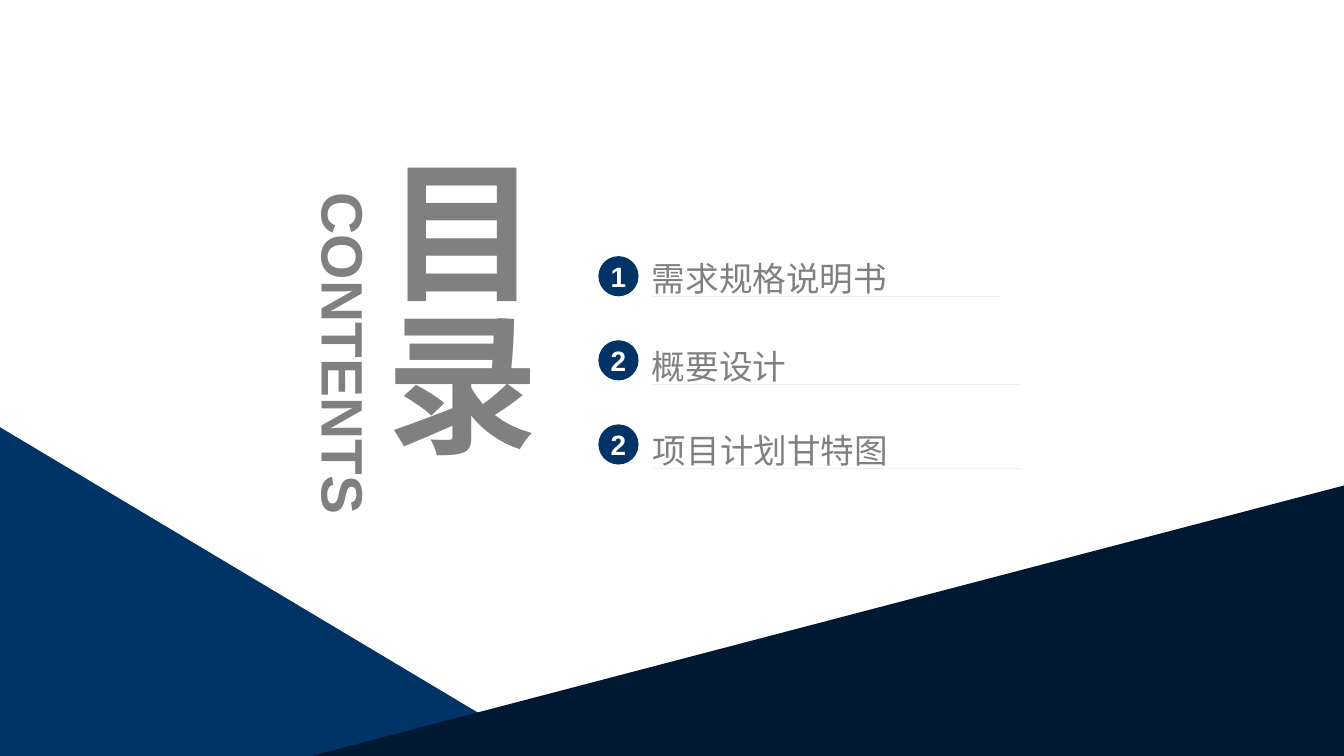
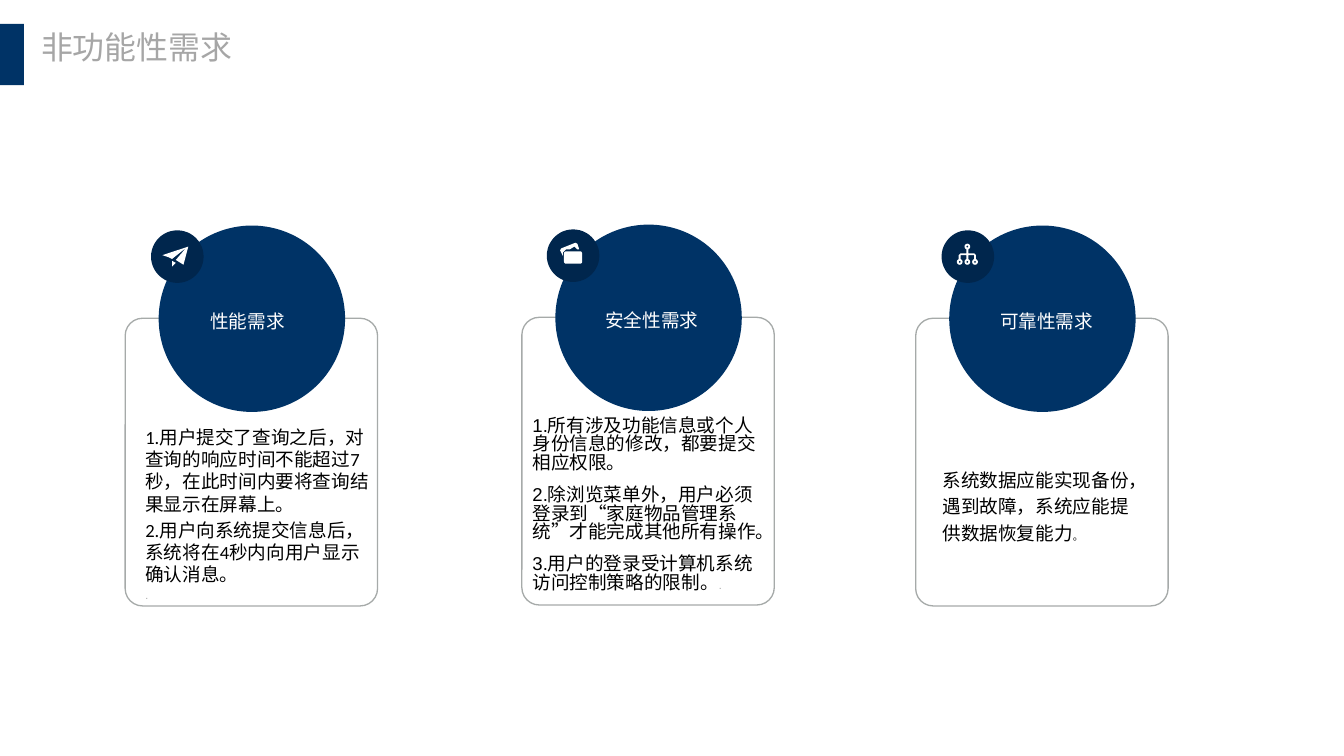
from math import cos, pi, sin

from lxml import etree
from pptx import Presentation
from pptx.dml.color import RGBColor
from pptx.enum.shapes import MSO_SHAPE
from pptx.enum.text import MSO_ANCHOR, MSO_AUTO_SIZE, PP_ALIGN
from pptx.oxml.ns import qn
from pptx.util import Inches, Pt

OVAL, RECT, ROUNDED = MSO_SHAPE.OVAL, MSO_SHAPE.RECTANGLE, MSO_SHAPE.ROUNDED_RECTANGLE
LEFT, CENTER = PP_ALIGN.LEFT, PP_ALIGN.CENTER
TOP, MIDDLE = MSO_ANCHOR.TOP, MSO_ANCHOR.MIDDLE

COLORS = {
    "navy": "003366", "badge": "00264D", "night": "001933", "white": "FFFFFF",
    "black": "000000", "gray": "808080", "light": "A6A6A6", "border": "A6AAA9",
}
LATIN, HAN = "Arial", "Noto Sans CJK SC"
WIDTH, HEIGHT = 14.06, 7.91

AGENDA = [
    ("1", "需求规格说明书", 6.82, 2.6, 3.64),
    ("2", "概要设计", 6.82, 3.52, 3.86),
    ("2", "项目计划甘特图", 6.83, 4.4, 3.86),
]

DOT = (".", {"size": 8, "font": LATIN, "color": "light"})
CARDS = [
    {
        "label": "性能需求", "at": (1.31, 3.33), "label_left": 1.89, "badge_left": 1.58,
        "body_box": (1.52, 4.4, 2.39, 1.95), "font": "Calibri", "spacing": 1.0, "before": 2.8,
        "body": [
            "1.用户提交了查询之后，对查询的响应时间不能超过7秒，在此时间内要将查询结果显示在屏幕上。",
            "2.用户向系统提交信息后，系统将在4秒内向用户显示确认消息。",
            [DOT],
        ],
    },
    {
        "label": "安全性需求", "at": (5.46, 3.32), "label_left": 6.12, "badge_left": 5.72,
        "body_box": (5.57, 4.34, 2.37, 1.89), "font": LATIN, "spacing": Pt(14), "before": 10,
        "body": [
            "1.所有涉及功能信息或个人身份信息的修改，都要提交相应权限。",
            "2.除浏览菜单外，用户必须登录到“家庭物品管理系统”才能完成其他所有操作。",
            [("3.用户的登录受计算机系统访问控制策略的限制", {}), ("。", {"font": "Open Sans"}), DOT],
        ],
    },
    {
        "label": "可靠性需求", "at": (9.58, 3.33), "label_left": 10.25, "badge_left": 9.85,
        "body_box": (9.86, 4.62, 2.09, 1.31), "font": "Vollkorn", "spacing": 1.2, "before": 10,
        "body": [
            [("系统数据应能实现备份，遇到故障，系统应能提供数据恢复能力", {}), ("。", {"size": 8})],
        ],
    },
]

PLANE = [
    [(0.39, 0.17), (0.12, 0.26), (0.18, 0.28), (0.22, 0.3), (0.37, 0.18), (0.26, 0.31), (0.34, 0.36)],
    [(0.22, 0.32), (0.26, 0.34), (0.22, 0.38)],
]
BACK_FOLDER = [(0.34, 0.21), (0.32, 0.15), (0.3, 0.14), (0.15, 0.2), (0.14, 0.22), (0.17, 0.28),
               (0.17, 0.24), (0.2, 0.21), (0.24, 0.21), (0.29, 0.18), (0.32, 0.21)]
NODES = [(0.27, 0.17), (0.19, 0.33), (0.27, 0.33), (0.35, 0.33)]
BRANCHES = [(0.26, 0.2), (0.28, 0.2), (0.28, 0.24), (0.34, 0.24), (0.36, 0.26), (0.36, 0.3),
            (0.34, 0.3), (0.34, 0.26), (0.28, 0.26), (0.28, 0.3), (0.26, 0.3), (0.26, 0.26),
            (0.2, 0.26), (0.2, 0.3), (0.18, 0.3), (0.18, 0.26), (0.2, 0.24), (0.26, 0.24)]
NODE_RADII = (0.03, 0.01)


def rgb(name):
    return RGBColor.from_string(COLORS[name])


def style_font(font, size=None, name=None, color=None, bold=None):
    if size:
        font.size = Pt(size)
    if color:
        font.color.rgb = rgb(color)
    if bold is not None:
        font.bold = bold
    if name:
        font.name = name
        etree.SubElement(font._rPr, qn("a:ea")).set("typeface", HAN)


def write(frame, paragraphs, size, color, font=LATIN, bold=False, align=LEFT,
          anchor=MIDDLE, spacing=1.0, before=0, wrap=True):
    frame.margin_left = frame.margin_right = frame.margin_top = frame.margin_bottom = 0
    frame.auto_size = MSO_AUTO_SIZE.NONE
    frame.word_wrap = wrap
    frame.vertical_anchor = anchor
    for index, content in enumerate(paragraphs):
        paragraph = frame.add_paragraph() if index else frame.paragraphs[0]
        paragraph.alignment = align
        paragraph.line_spacing = spacing
        paragraph.space_before = Pt(before)
        style_font(paragraph.font, size, font, color, bold)
        for text, change in [(content, {})] if isinstance(content, str) else content:
            run = paragraph.add_run()
            run.text = text
            if change:
                style_font(run.font, change.get("size"), change.get("font"), change.get("color"))


def add_text(slide, box, paragraphs, size, color, **style):
    holder = slide.shapes.add_textbox(*map(Inches, box))
    write(holder.text_frame, paragraphs, size, color, **style)
    return holder


def paint(shape, fill=None, line=None):
    shape.shadow.inherit = False
    if fill:
        shape.fill.solid()
        shape.fill.fore_color.rgb = rgb(fill)
    else:
        shape.fill.background()
    if line:
        shape.line.color.rgb = rgb(line)
        shape.line.width = Pt(1)
    else:
        shape.line.fill.background()


def add_preset(slide, kind, box, fill=None, line=None):
    shape = slide.shapes.add_shape(kind, *map(Inches, box))
    paint(shape, fill, line)
    return shape


def add_outline(slide, contours, fill, left=0, top=0):
    placed = [[(Inches(left + x), Inches(top + y)) for x, y in contour] for contour in contours]
    builder = slide.shapes.build_freeform(*placed[0][0])
    for index, corners in enumerate(placed):
        if index:
            builder.move_to(*corners[0])
        builder.add_line_segments(corners[1:], close=True)
    shape = builder.convert_to_shape()
    paint(shape, fill)
    return shape


def circle_points(center, radius, count=16):
    x, y = center
    turns = [2 * pi * step / count for step in range(count)]
    return [(x + radius * cos(turn), y + radius * sin(turn)) for turn in turns]


def add_titled_slide(deck, title, box, size, color, **style):
    slide = deck.slides.add_slide(deck.slide_layouts[5])
    holder = slide.shapes.title
    holder.left, holder.top, holder.width, holder.height = map(Inches, box)
    write(holder.text_frame, [title], size, color, **style)
    return slide


def draw_plane(slide, left, top):
    add_outline(slide, PLANE, "white", left, top)


def draw_folders(slide, left, top):
    add_outline(slide, [BACK_FOLDER], "white", left, top)
    add_preset(slide, ROUNDED, (left + 0.18, top + 0.23, 0.19, 0.13), "white")


def draw_tree(slide, left, top):
    rings = [circle_points(node, radius) for node in NODES for radius in NODE_RADII]
    add_outline(slide, [BRANCHES] + rings, "white", left, top)


def build_contents(deck):
    slide = add_titled_slide(deck, "目录", (3.81, 1.62, 1.94, 4.15), 115, "gray",
                             bold=True, align=CENTER)
    slide.shapes.title.text_frame._txBody.bodyPr.set("vert", "eaVert")
    add_outline(slide, [[(0, 4.47), (5.76, HEIGHT), (0, HEIGHT)]], "navy")
    add_outline(slide, [[(WIDTH, 5.08), (WIDTH, HEIGHT), (3.26, HEIGHT)]], "night")
    contents = add_text(slide, (1.8, 3.33, 3.61, 0.74), ["CONTENTS"], 44, "gray",
                        bold=True, align=CENTER, anchor=TOP)
    contents.rotation = 90
    item_height = 0.5
    for row, (number, topic, left, top, length) in enumerate(AGENDA):
        bullet = add_preset(slide, OVAL, (6.26, 2.68 + 0.88 * row, 0.42, 0.42), "navy")
        write(bullet.text_frame, [number], 21.1, "white", bold=True, align=CENTER)
        underline = [(0, item_height), (length, item_height), (0, item_height)]
        corner = [(0, 0), (0, 0), (0, 0)]
        item = add_outline(slide, [underline, corner], "gray", left, top)
        write(item.text_frame, [topic], 25.3, "gray", spacing=1.3)


def build_requirements(deck):
    slide = add_titled_slide(deck, "非功能性需求", (0.43, 0.29, 2.02, 0.4), 24, "light",
                             font=HAN, anchor=TOP, wrap=False)
    add_preset(slide, RECT, (0, 0.25, 0.25, 0.64), "navy")
    for card, draw_icon in zip(CARDS, (draw_plane, draw_folders, draw_tree)):
        left, top = card["at"]
        frame = add_preset(slide, ROUNDED, (left, top, 2.64, 3.01), line="border")
        frame.adjustments[0] = 0.069
        add_preset(slide, OVAL, (left + 0.35, top - 0.97, 1.95, 1.95), "navy")
        badge_left, badge_top = card["badge_left"], top - 0.92
        add_preset(slide, OVAL, (badge_left, badge_top, 0.55, 0.55), "badge")
        draw_icon(slide, badge_left, badge_top)
        add_text(slide, (card["label_left"], top - 0.22, 1.4, 0.45), [card["label"]], 14, "white",
                 align=CENTER, spacing=1.2, before=10)
        add_text(slide, card["body_box"], card["body"], 14, "black", font=card["font"],
                 spacing=card["spacing"], before=card["before"])


deck = Presentation()
deck.slide_width, deck.slide_height = Inches(WIDTH), Inches(HEIGHT)
build_contents(deck)
build_requirements(deck)
deck.save("out.pptx")
